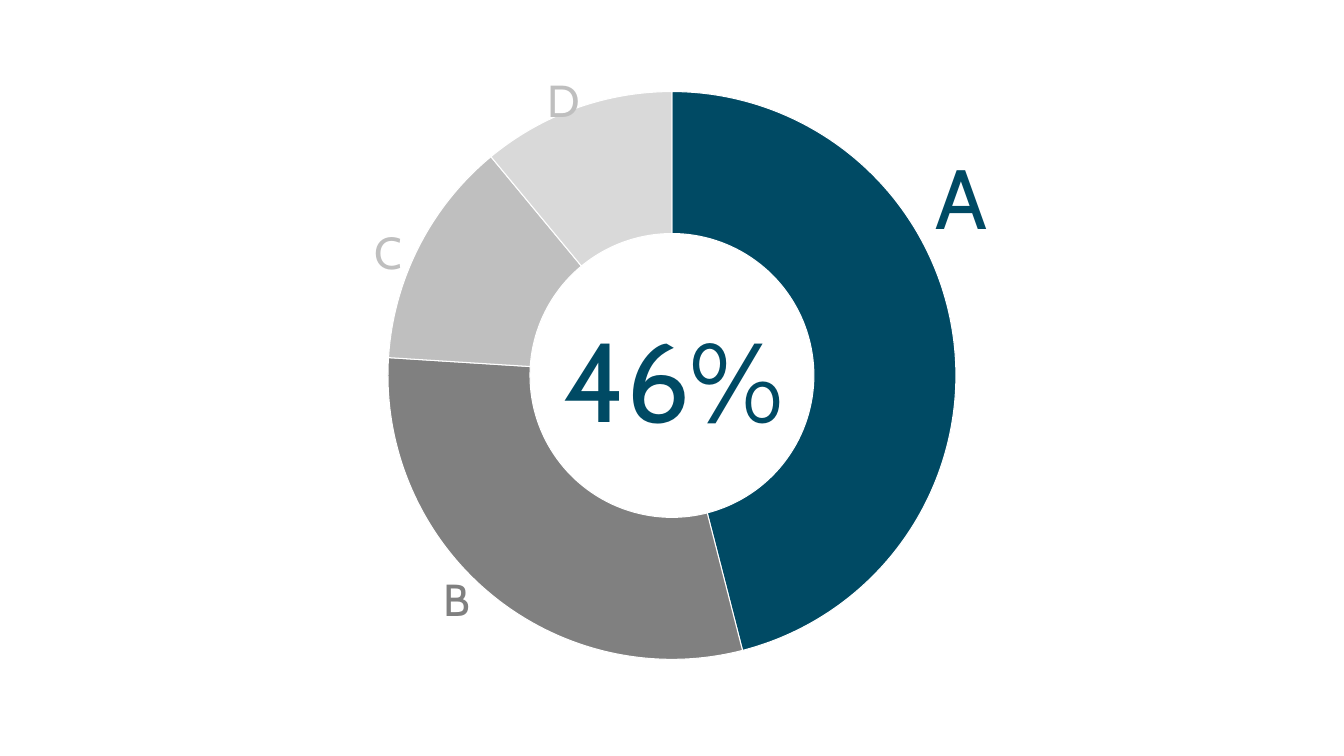
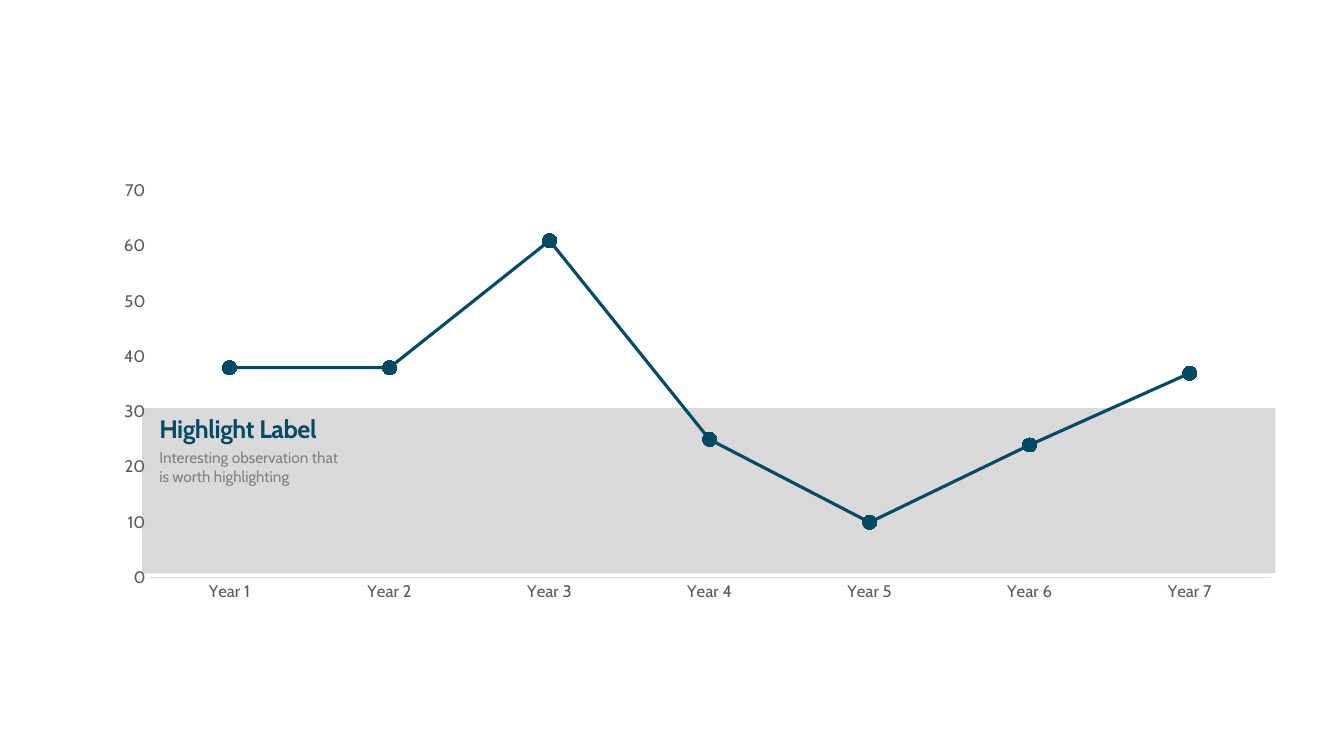
from dataclasses import dataclass

from lxml.etree import SubElement
from pptx import Presentation
from pptx.chart.data import CategoryChartData
from pptx.dml.color import RGBColor
from pptx.enum.chart import XL_CHART_TYPE, XL_MARKER_STYLE, XL_TICK_MARK
from pptx.enum.shapes import MSO_SHAPE
from pptx.enum.text import MSO_ANCHOR, MSO_AUTO_SIZE
from pptx.oxml.ns import qn
from pptx.util import Pt


@dataclass(frozen=True)
class Theme:
    font: str = "Cabin"
    accent: RGBColor = RGBColor(0x00, 0x4A, 0x64)
    dark: RGBColor = RGBColor(0x80, 0x80, 0x80)
    mid: RGBColor = RGBColor(0xBF, 0xBF, 0xBF)
    light: RGBColor = RGBColor(0xD9, 0xD9, 0xD9)
    axis_text: RGBColor = RGBColor(0x59, 0x59, 0x59)
    white: RGBColor = RGBColor(0xFF, 0xFF, 0xFF)
    figure: int = 80
    lead_label: int = 60
    label: int = 32
    heading: int = 18
    axis: int = 12
    note: int = 11


theme = Theme()
PX = 9144  # 100 px to the inch


def add_text(slide, box, text, size, color, inset=True):
    frame = slide.shapes.add_textbox(*(v * PX for v in box)).text_frame
    frame.word_wrap = True
    frame.auto_size = MSO_AUTO_SIZE.SHAPE_TO_FIT_TEXT
    if not inset:
        frame.margin_left = frame.margin_right = 0
        frame.margin_top = frame.margin_bottom = 0
    paragraph = frame.paragraphs[0]
    paragraph.text = text
    paragraph.font.name = theme.font
    paragraph.font.size = Pt(size)
    paragraph.font.color.rgb = color
    return frame


def add_plain_chart(slide, kind, box, categories, values, plot_box):
    """Add a one-series chart; plot_box is x, y, w, h as shares of the chart."""
    data = CategoryChartData()
    data.categories = categories
    data.add_series("Series 1", values)
    frame = slide.shapes.add_chart(kind, *(v * PX for v in box), data)
    chart = frame.chart
    chart.has_title = False
    chart.has_legend = False
    chart.font.name = theme.font
    chart.plots[0].vary_by_categories = False
    # Fixed inner plot area
    plot_area = chart.plots[0]._element.getparent()
    for old_layout in plot_area.findall(qn("c:layout")):
        plot_area.remove(old_layout)
    layout = SubElement(plot_area, qn("c:layout"))
    plot_area.insert(0, layout)
    manual = SubElement(layout, qn("c:manualLayout"))
    settings = [("layoutTarget", "inner"), ("xMode", "edge"), ("yMode", "edge")]
    for tag, value in settings + list(zip("xywh", plot_box)):
        SubElement(manual, qn("c:" + tag)).set("val", str(value))
    return chart


deck = Presentation()
deck.slide_width, deck.slide_height = 1333 * PX, 750 * PX
blank = deck.slide_layouts[6]

# Slide 1: share doughnut
share_slide = deck.slides.add_slide(blank)
share_chart = add_plain_chart(
    share_slide, XL_CHART_TYPE.DOUGHNUT, (222, 79, 889, 593),
    ["1", "2", "3", "4"], [46, 30, 13, 11], (0.18, 0.02, 0.64, 0.95))
share_chart.font.size = Pt(theme.heading)
shares = share_chart.plots[0].series[0]
for index, color in enumerate([theme.accent, theme.dark, theme.mid, theme.light]):
    segment = shares.points[index].format
    segment.fill.solid()
    segment.fill.fore_color.rgb = color
    segment.line.color.rgb = theme.white
    segment.line.width = Pt(0.75)

# Central figure and segment labels
for box, text, size, color in [
    ((549, 303, 253, 145), "46%", theme.figure, theme.accent),
    ((918, 139, 106, 111), "A", theme.lead_label, theme.accent),
    ((430, 562, 106, 64), "B", theme.label, theme.dark),
    ((362, 218, 106, 64), "C", theme.label, theme.mid),
    ((533, 67, 106, 64), "D", theme.label, theme.mid),
]:
    add_text(share_slide, box, text, size, color)

# Slide 2: highlight band behind the trend
trend_slide = deck.slides.add_slide(blank)
highlight_band = trend_slide.shapes.add_shape(
    MSO_SHAPE.RECTANGLE, *(v * PX for v in (141, 405, 1124, 164)))
highlight_band.shadow.inherit = False
highlight_band.fill.solid()
highlight_band.fill.fore_color.rgb = theme.light
highlight_band.line.fill.background()

# Trend line
trend_chart = add_plain_chart(
    trend_slide, XL_CHART_TYPE.LINE_MARKERS, (101, 172, 1182, 436),
    [f"Year {year}" for year in range(1, 8)], [38, 38, 61, 25, 10, 24, 37],
    (0.04, 0.04, 0.94, 0.88))
trend_chart.font.size = Pt(10)
trend = trend_chart.plots[0].series[0]
trend.smooth = False
trend.format.line.color.rgb = theme.accent
trend.format.line.width = Pt(2.25)
trend.marker.style = XL_MARKER_STYLE.CIRCLE
trend.marker.size = 10
trend.marker.format.fill.solid()
trend.marker.format.fill.fore_color.rgb = theme.accent
trend.marker.format.line.color.rgb = theme.accent

# Axes
years, scale = trend_chart.category_axis, trend_chart.value_axis
for axis in (years, scale):
    axis.has_major_gridlines = False
    axis.major_tick_mark = axis.minor_tick_mark = XL_TICK_MARK.NONE
    axis.tick_labels.font.name = theme.font
    axis.tick_labels.font.size = Pt(theme.axis)
    axis.tick_labels.font.color.rgb = theme.axis_text
years.format.line.color.rgb = theme.light
years.format.line.width = Pt(0.75)
scale.format.line.fill.background()
scale.minimum_scale, scale.maximum_scale, scale.major_unit = 0, 70, 10

# Highlight heading and note
heading = add_text(trend_slide, (158, 410, 256, 30), "Highlight Label",
                   theme.heading, theme.accent, inset=False)
heading.vertical_anchor = MSO_ANCHOR.BOTTOM
heading.paragraphs[0].font.bold = True
heading.paragraphs[0].font._element.set("spc", "-30") if hasattr(
    heading.paragraphs[0].font, "_element") else None
add_text(trend_slide, (158, 445, 184, 37),
         "Interesting observation that is worth highlighting",
         theme.note, theme.dark, inset=False)

deck.save("out.pptx")
